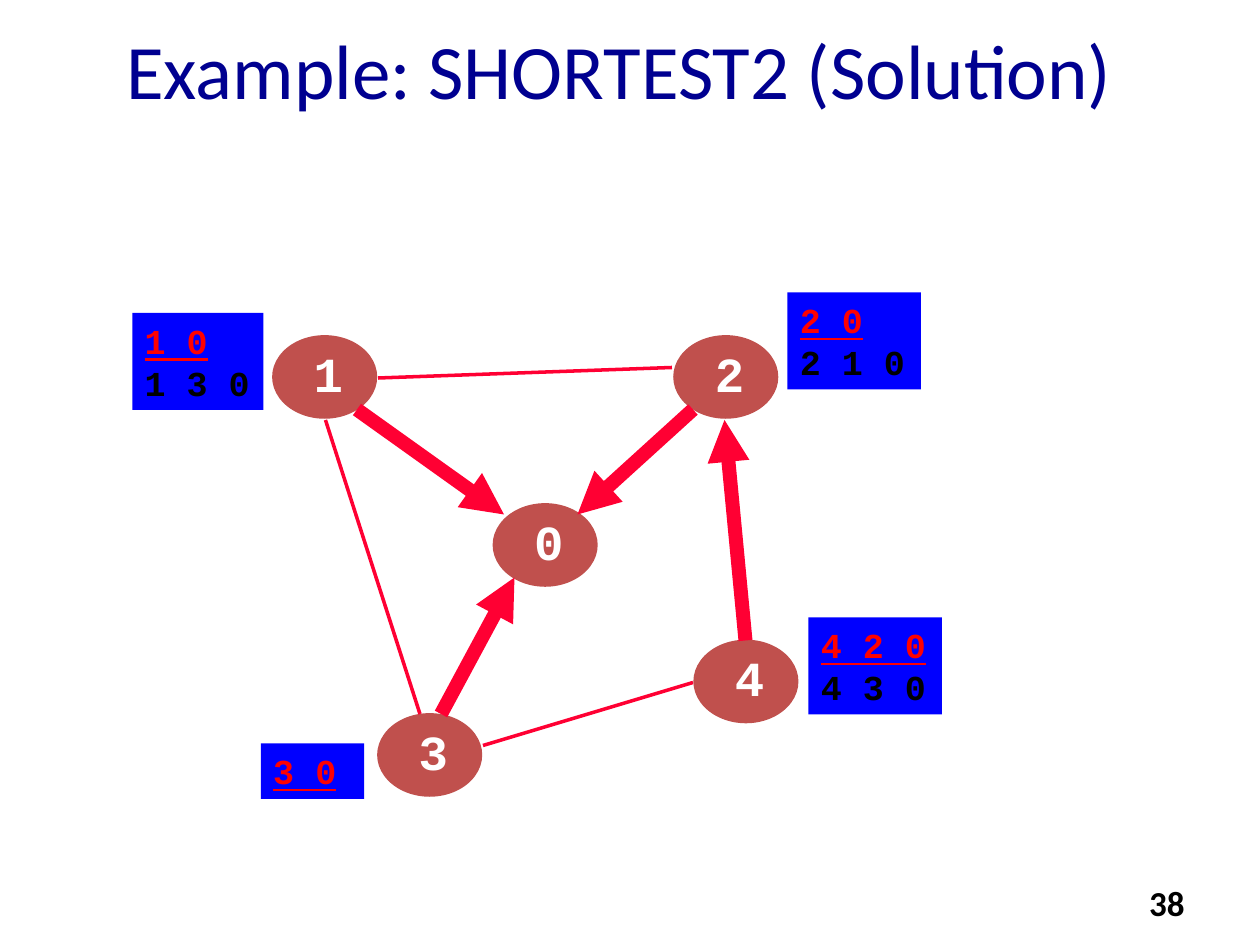
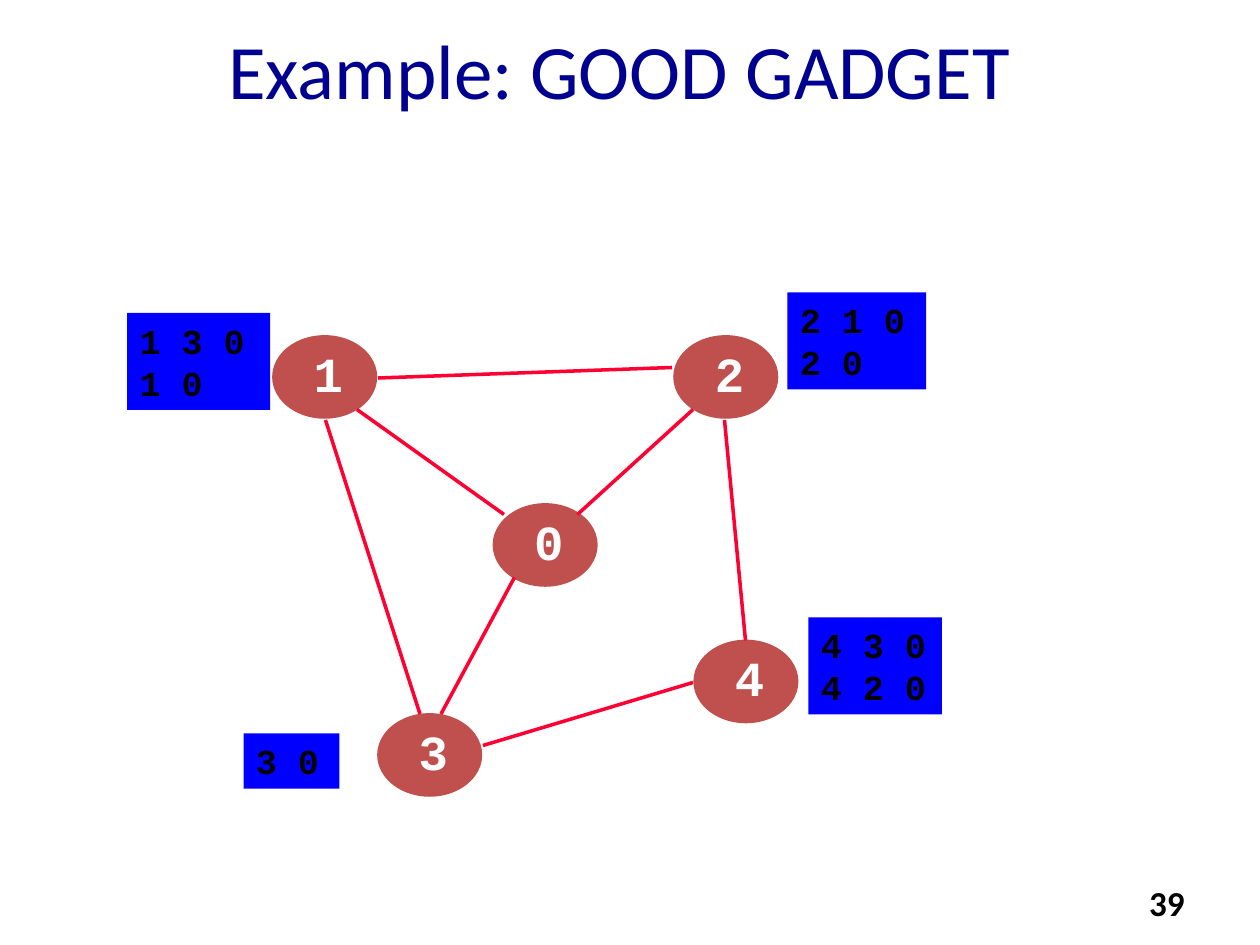
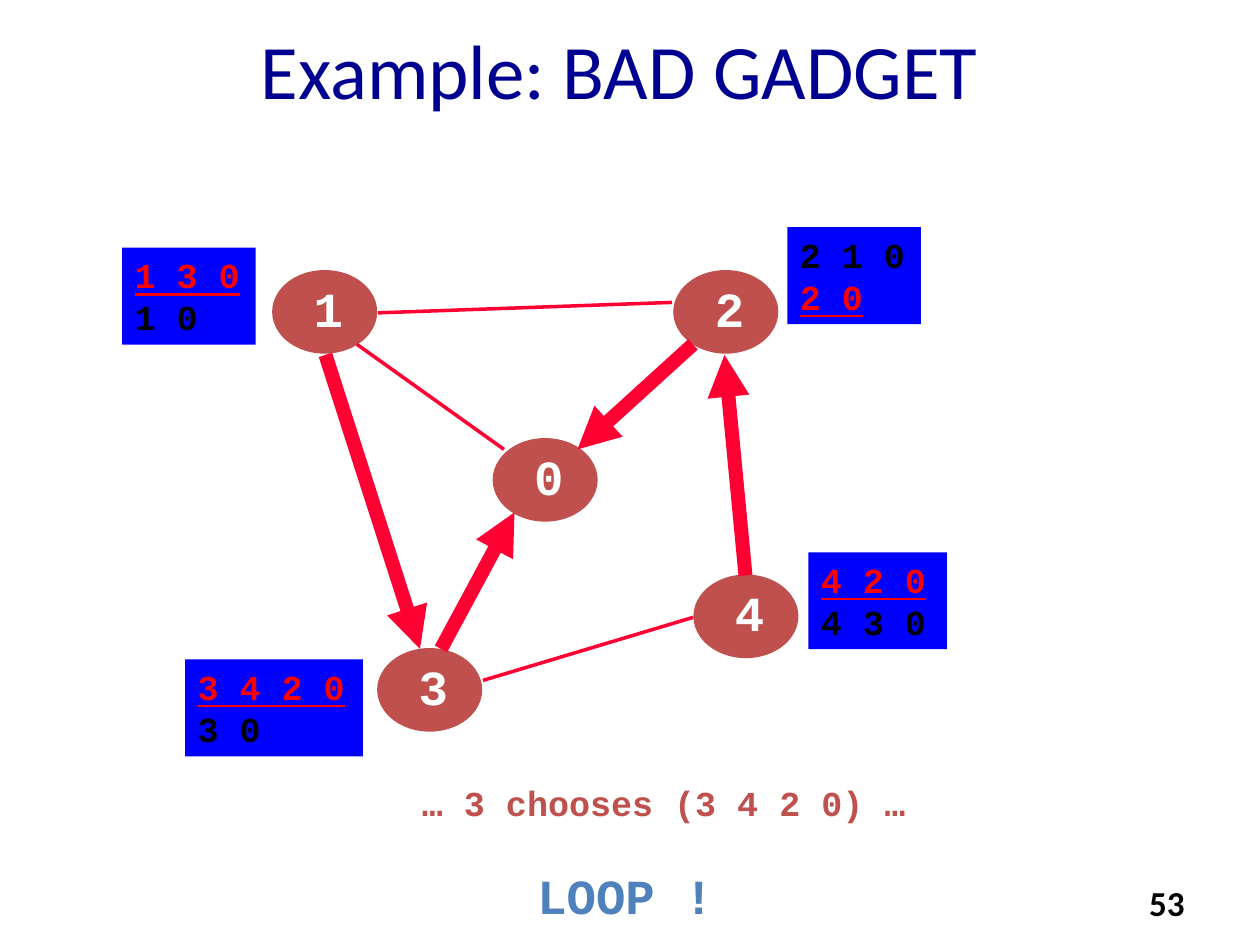
from dataclasses import dataclass

from pptx import Presentation
from pptx.dml.color import RGBColor
from pptx.enum.shapes import MSO_CONNECTOR as Connector, MSO_SHAPE as Preset
from pptx.enum.text import MSO_ANCHOR as Anchor, PP_ALIGN as Align
from pptx.oxml.ns import qn
from pptx.util import Inches, Pt
from lxml.etree import SubElement

COLUMNS, ROWS = 120, 90


@dataclass(frozen=True)
class Theme:
    title: str = "000090"
    ink: str = "000000"
    node: str = "C0504D"
    node_text: str = "FFFFFF"
    edge: str = "FF0033"
    path_fill: str = "0000FF"
    chosen: str = "FF0000"
    loop: str = "4F81BD"
    heading_font: str = "Calibri"
    code_font: str = "Courier New"
    title_size: int = 44
    large_size: int = 28
    body_size: int = 20
    thin: int = 2
    thick: int = 8


# The network, in grid columns and rows
NODES = {"1": (26, 32), "2": (64.2, 32), "4": (66.12, 61), "3": (36, 68), "0": (47, 48)}
NODE_SIZE = (9.84, 7.8)
LABEL_OFFSET, LABEL_SIZE = (2.7, 0.1), (5, 6.8)
EDGES = {
    "1 0": (34, 39, 48, 49),
    "1 2": (36, 36, 64, 35),
    "2 0": (66, 39, 55, 49),
    "4 2": (71, 61, 69, 40),
    "1 3": (31, 40, 40, 68),
    "4 3": (66, 65, 46, 71),
    "3 0": (42, 68, 49, 55),
}
PATH_HEIGHTS = {1: 5.28, 2: 9.24}

# Path boxes: column, row, width, paths in order of preference, chosen path
SLIDES = [
    dict(title="Example: SHORTEST2 (Solution)", number=38,
         arrows=("1 0", "2 0", "4 2", "3 0"),
         paths=[(75, 27.84, 12.72, ["2 0", "2 1 0"], "2 0"),
                (12.6, 29.8, 12.48, ["1 0", "1 3 0"], "1 0"),
                (77, 58.8, 12.72, ["4 2 0", "4 3 0"], "4 2 0"),
                (24.84, 70.8, 9.84, ["3 0"], "3 0")]),
    dict(title="Example: GOOD GADGET", number=39,
         paths=[(75, 27.84, 13.2, ["2 1 0", "2 0"], None),
                (12.12, 29.8, 13.6, ["1 3 0", "1 0"], None),
                (77, 58.8, 12.72, ["4 3 0", "4 2 0"], None),
                (23.2, 69.84, 9.12, ["3 0"], None)]),
    dict(title="Example: BAD GADGET", number=53, lift=6.2,
         arrows=("2 0", "4 2", "1 3", "3 0"),
         paths=[(75, 27.84, 12.72, ["2 1 0", "2 0"], "2 0"),
                (11.64, 29.8, 12.72, ["1 3 0", "1 0"], "1 3 0"),
                (77, 58.8, 13.2, ["4 2 0", "4 3 0"], "4 2 0"),
                (17.64, 69, 16.92, ["3 4 2 0", "3 0"], "3 4 2 0")]),
]


def write(frame, text, *, size, color, font, bold=True, underline=False,
          align=Align.LEFT, new_para=False):
    """Put text in the first paragraph of a frame, or in a new one."""
    para = frame.add_paragraph() if new_para else frame.paragraphs[0]
    para.alignment = align
    span = para.add_run()
    span.text = text
    span.font.name = font
    span.font.size = Pt(size)
    span.font.bold = bold
    span.font.underline = underline
    span.font.color.rgb = RGBColor.from_string(color)


class Builder:
    def __init__(self, theme):
        self.theme = theme
        self.deck = Presentation()
        self.deck.slide_width, self.deck.slide_height = Inches(10), Inches(7.5)
        self.page = None
        self.lift = 0

    def grid(self, column, row):
        return (round(self.deck.slide_width * column / COLUMNS),
                round(self.deck.slide_height * row / ROWS))

    def start(self, title, number, lift=0):
        """Open a slide with its title and page number."""
        theme = self.theme
        self.page = self.deck.slides.add_slide(self.deck.slide_layouts[6])
        self.lift = lift
        self.text(title, 2, 4, 114, 5, size=theme.title_size, color=theme.title,
                  font=theme.heading_font, bold=False, align=Align.CENTER,
                  anchor=Anchor.MIDDLE)
        self.text(str(number), 86, 83.4, 28, 4.8, size=theme.body_size,
                  color=theme.ink, font=theme.heading_font, align=Align.RIGHT)

    def text(self, text, column, row, width, height, *, anchor=Anchor.TOP,
             wrap=True, parent=None, **style):
        shapes = (parent or self.page).shapes
        box = shapes.add_textbox(*self.grid(column, row), *self.grid(width, height))
        box.text_frame.word_wrap = wrap
        box.text_frame.vertical_anchor = anchor
        write(box.text_frame, text, **style)

    def shape(self, preset, column, row, width, height, fill, outline=None, parent=None):
        shapes = (parent or self.page).shapes
        shape = shapes.add_shape(preset, *self.grid(column, row), *self.grid(width, height))
        shape.shadow.inherit = False
        shape.fill.solid()
        shape.fill.fore_color.rgb = RGBColor.from_string(fill)
        if outline:
            shape.line.color.rgb = RGBColor.from_string(outline)
            shape.line.width = Pt(1)
        else:
            shape.line.fill.background()
        return shape

    def node(self, label, column, row):
        theme, row = self.theme, row - self.lift
        group = self.page.shapes.add_group_shape()
        self.shape(Preset.OVAL, column, row, *NODE_SIZE, theme.node, theme.node, group)
        self.text(label, column + LABEL_OFFSET[0], row + LABEL_OFFSET[1], *LABEL_SIZE,
                  wrap=False, parent=group, size=theme.large_size,
                  color=theme.node_text, font=theme.code_font)

    def edge(self, column, row, end_column, end_row, arrow):
        line = self.page.shapes.add_connector(
            Connector.STRAIGHT, *self.grid(column, row - self.lift),
            *self.grid(end_column, end_row - self.lift))
        line.line.color.rgb = RGBColor.from_string(self.theme.edge)
        line.line.width = Pt(self.theme.thick if arrow else self.theme.thin)
        if arrow:
            SubElement(line.line._get_or_add_ln(), qn("a:tailEnd"), type="triangle")
        SubElement(line._element.spPr, qn("a:effectLst"))

    def path_box(self, column, row, width, paths, chosen):
        theme = self.theme
        box = self.shape(Preset.RECTANGLE, column, row - self.lift, width,
                         PATH_HEIGHTS[len(paths)], theme.path_fill)
        frame = box.text_frame
        frame.word_wrap = True
        frame.vertical_anchor = Anchor.TOP
        for index, path in enumerate(paths):
            picked = path == chosen
            write(frame, path, size=theme.body_size, font=theme.code_font,
                  color=theme.chosen if picked else theme.ink,
                  underline=picked, new_para=index > 0)

    def network(self, paths, arrows=()):
        for label, place in NODES.items():
            self.node(label, *place)
        for name, ends in EDGES.items():
            self.edge(*ends, arrow=name in arrows)
        for path in paths:
            self.path_box(*path)


def main():
    theme = Theme()
    builder = Builder(theme)
    for slide in SLIDES:
        builder.start(slide["title"], slide["number"], slide.get("lift", 0))
        builder.network(slide["paths"], slide.get("arrows", ()))

    # Captions under the last network
    builder.text("… 3 chooses (3 4 2 0) …", 39, 73.8, 52, 9.12,
                 size=theme.body_size, color=theme.node, font=theme.code_font)
    builder.text("LOOP !", 50, 81.84, 52, 6.72,
                 size=theme.large_size, color=theme.loop, font=theme.code_font)
    builder.deck.save("out.pptx")


if __name__ == "__main__":
    main()
